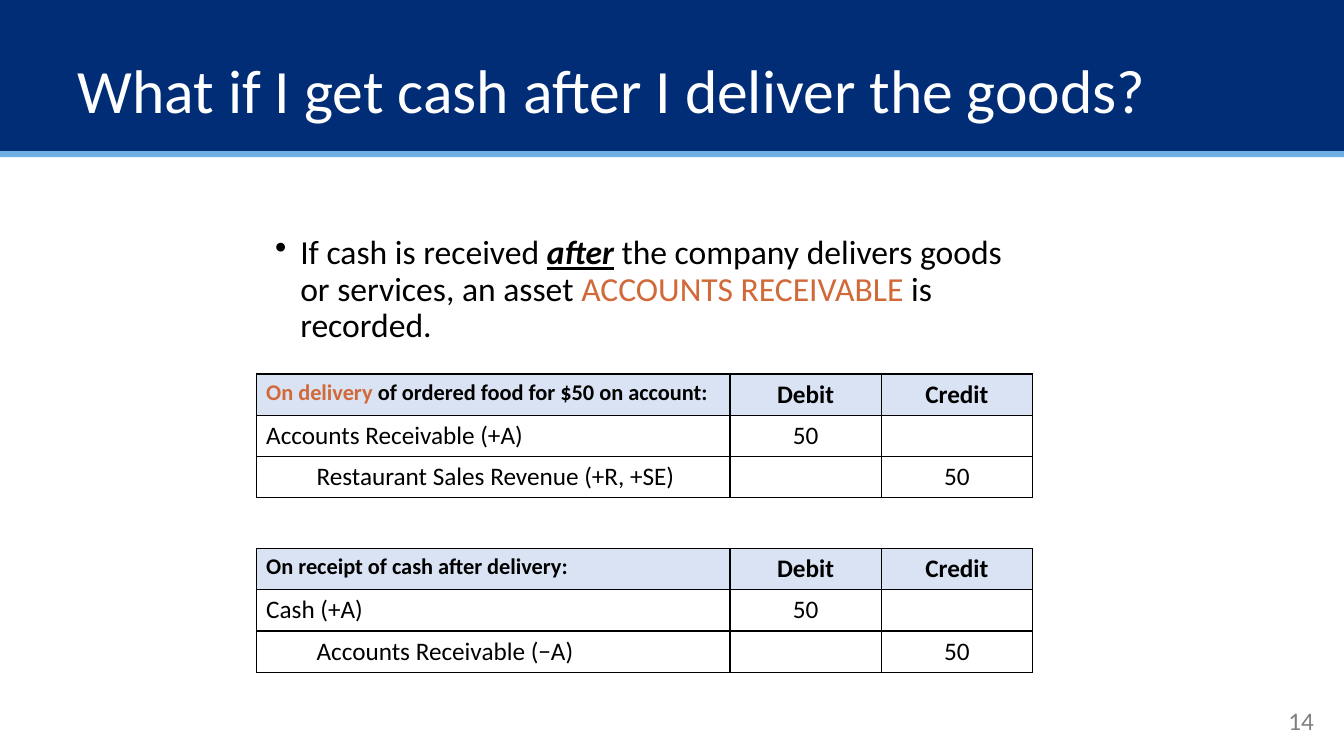
from dataclasses import dataclass

from pptx import Presentation
from pptx.dml.color import RGBColor as Rgb
from pptx.enum.shapes import MSO_SHAPE as Kind
from pptx.enum.text import MSO_ANCHOR as Anchor, PP_ALIGN as Align
from pptx.oxml.ns import qn
from pptx.oxml.xmlchemy import OxmlElement as Node
from pptx.util import Inches, Pt


@dataclass(frozen=True)
class Theme:
    font: str = "Calibri"
    navy: str = "002D75"
    sky: str = "6DADE4"
    pale: str = "DAE3F3"
    rust: str = "D16939"
    gray: str = "808080"
    black: str = "000000"
    white: str = "FFFFFF"
    title: int = 44
    body: int = 24
    cell: int = 18
    lead: int = 16


LOOK = Theme()


@dataclass(frozen=True)
class Run:
    text: str
    size: int = LOOK.cell
    color: str = LOOK.black
    bold: bool = False
    accent: bool = False  # italic and underlined


@dataclass(frozen=True)
class Box:
    left: float
    top: float
    width: float
    height: float

    def place(self) -> tuple:
        return tuple(Inches(n) for n in (self.left, self.top, self.width, self.height))


@dataclass(frozen=True)
class Entry:
    top: float
    head: tuple[Run, ...]
    debit: str
    credit: str
    amount: str = "50"


def write(para, runs: tuple[Run, ...], align=Align.LEFT) -> None:
    para.alignment = align
    for item in runs:
        run = para.add_run()
        run.text = item.text
        font = run.font
        font.name, font.size = LOOK.font, Pt(item.size)
        font.color.rgb = Rgb.from_string(item.color)
        font.bold = item.bold
        font.italic = font.underline = item.accent


def indent(para, left: float, first: float = 0) -> None:
    props = para._p.get_or_add_pPr()
    props.set("marL", str(Inches(left)))
    props.set("indent", str(Inches(first)))


def band(slide, box: Box, color: str) -> None:
    shape = slide.shapes.add_shape(Kind.RECTANGLE, *box.place())
    shape.shadow.inherit = False
    shape.fill.solid()
    shape.fill.fore_color.rgb = Rgb.from_string(color)
    shape.line.fill.background()


def label(slide, box: Box, runs: tuple[Run, ...], align=Align.LEFT,
          anchor=Anchor.TOP, space: float = 0.9):
    frame = slide.shapes.add_textbox(*box.place()).text_frame
    frame.word_wrap = True
    frame.vertical_anchor = anchor
    para = frame.paragraphs[0]
    para.line_spacing = space
    write(para, runs, align)
    return para


def border(cell) -> None:
    props = cell._tc.get_or_add_tcPr()
    for side in ("a:lnL", "a:lnR", "a:lnT", "a:lnB"):
        line, fill, color = Node(side), Node("a:solidFill"), Node("a:srgbClr")
        line.set("w", str(Pt(1)))
        color.set("val", LOOK.black)
        fill.append(color)
        line.append(fill)
        props.append(line)


def journal(slide, entry: Entry) -> None:
    widths, row = (4.7, 1.5, 1.5), 0.41
    lines = (
        (entry.head, (Run("Debit", bold=True),), (Run("Credit", bold=True),)),
        ((Run(entry.debit),), (Run(entry.amount),), ()),
        ((Run(entry.credit),), (), (Run(entry.amount),)),
    )
    box = Box(2.54, entry.top, sum(widths), row * len(lines))
    grid = slide.shapes.add_table(len(lines), len(widths), *box.place()).table
    for col, width in zip(grid.columns, widths):
        col.width = Inches(width)
    for r, line in enumerate(lines):
        grid.rows[r].height = Inches(row)
        for c, runs in enumerate(line):
            cell = grid.cell(r, c)
            border(cell)
            cell.fill.solid()
            cell.fill.fore_color.rgb = Rgb.from_string(LOOK.white if r else LOOK.pale)
            write(cell.text_frame.paragraphs[0], runs, Align.CENTER if c else Align.LEFT)
    # The credited account is set in
    indent(grid.cell(2, 0).text_frame.paragraphs[0], 0.5)


def main() -> None:
    deck = Presentation()
    deck.slide_width, deck.slide_height = Inches(13.33), Inches(7.5)
    slide = deck.slides.add_slide(deck.slide_layouts[6])

    # Header bands and title
    band(slide, Box(0, 0, 13.33, 1.5), LOOK.navy)
    band(slide, Box(0, 1.5, 13.33, 0.06), LOOK.sky)
    label(slide, Box(0.67, 0.55, 11.24, 0.62),
          (Run("What if I get cash after I deliver the goods?", LOOK.title, LOOK.white),))

    # Page number
    label(slide, Box(10.13, 6.95, 3, 0.4), (Run("14", color=LOOK.gray),),
          Align.RIGHT, Anchor.MIDDLE, 1.0)

    # Bullet
    point = label(slide, Box(2.63, 2.29, 7.5, 0.83), (
        Run("If cash is received ", LOOK.body),
        Run("after", LOOK.body, bold=True, accent=True),
        Run(" the company delivers goods or services, an asset ", LOOK.body),
        Run("ACCOUNTS RECEIVABLE ", LOOK.body, LOOK.rust),
        Run("is recorded.", LOOK.body),
    ))
    indent(point, 0.25, -0.25)
    mark = Node("a:buChar")
    mark.set("char", "•")
    point._p.find(qn("a:pPr")).append(mark)

    # Journal entries
    for entry in (
        Entry(3.71, (
            Run("On delivery ", LOOK.lead, LOOK.rust, True),
            Run("of ordered food for $50 on account:", LOOK.lead, bold=True),
        ), "Accounts Receivable (+A)", "Restaurant Sales Revenue (+R, +SE)"),
        Entry(5.44, (Run("On receipt of cash after delivery:", LOOK.lead, bold=True),),
              "Cash (+A)", "Accounts Receivable (−A)"),
    ):
        journal(slide, entry)

    deck.save("out.pptx")


if __name__ == "__main__":
    main()
